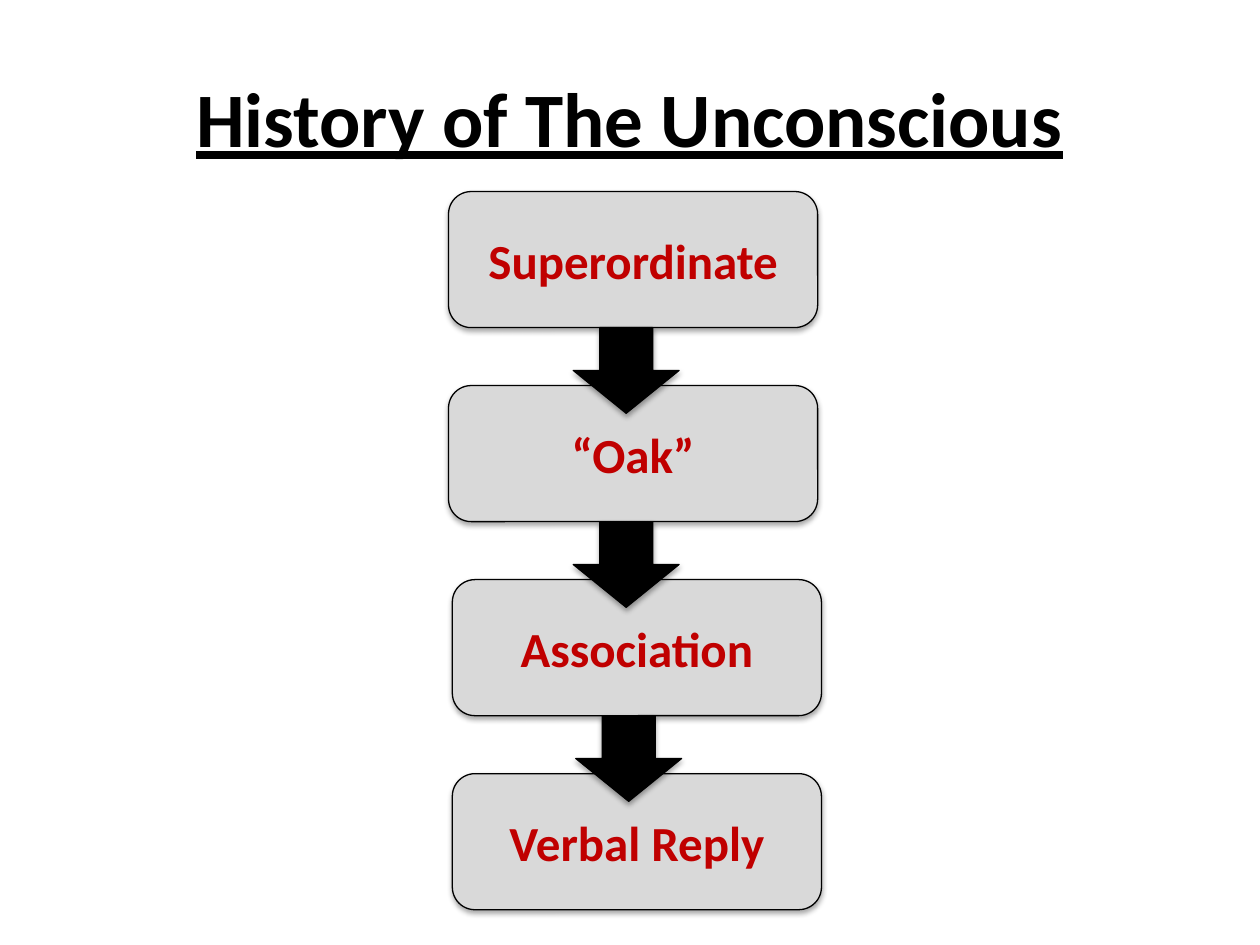
from dataclasses import dataclass

from lxml import etree
from pptx import Presentation
from pptx import util as u
from pptx.dml.color import RGBColor
from pptx.enum import shapes, text
from pptx.oxml import ns


@dataclass(frozen=True)
class Theme:
    font: str = "Calibri"
    ink: str = "000000"
    box: str = "D9D9D9"
    red: str = "C00000"
    head: int = 44
    body: int = 28
    line: float = 0.75


@dataclass(frozen=True)
class Step:
    label: str
    left: float


THEME = Theme()
STEPS = [
    Step("Superordinate", 3.56),
    Step("“Oak”", 3.56),
    Step("Association", 3.59),
    Step("Verbal Reply", 3.59),
]
ARROWS = [4.55, 4.55, 4.57]
TOP, PITCH = 1.52, 1.54
WIDE, HIGH = 2.93, 1.08


def write(frame, words: str, *, size: int, color: str, line: bool = False) -> None:
    frame.word_wrap = True
    frame.auto_size = text.MSO_AUTO_SIZE.NONE
    frame.vertical_anchor = text.MSO_ANCHOR.MIDDLE
    para = frame.paragraphs[0]
    para.alignment = text.PP_ALIGN.CENTER
    run = para.add_run()
    run.text = words
    font = run.font
    font.name, font.size = THEME.font, u.Pt(size)
    font.bold, font.underline = True, line
    font.color.rgb = RGBColor.from_string(color)


def shade(shape) -> None:
    shape.shadow.inherit = False
    effect = shape._element.spPr.find(ns.qn("a:effectLst"))
    outer = etree.SubElement(
        effect, ns.qn("a:outerShdw"), blurRad=str(u.Pt(3.1)),
        dist=str(u.Pt(1.8)), dir="5400000", rotWithShape="0")
    color = etree.SubElement(outer, ns.qn("a:srgbClr"), val=THEME.ink)
    etree.SubElement(color, ns.qn("a:alpha"), val="35000")


def draw(slide, kind, left: float, top: float, width: float, height: float, fill: str):
    shape = slide.shapes.add_shape(
        kind, u.Inches(left), u.Inches(top), u.Inches(width), u.Inches(height))
    shape.fill.solid()
    shape.fill.fore_color.rgb = RGBColor.from_string(fill)
    shape.line.color.rgb = RGBColor.from_string(THEME.ink)
    shape.line.width = u.Pt(THEME.line)
    shade(shape)
    return shape


def main() -> None:
    deck = Presentation()
    deck.slide_width, deck.slide_height = u.Inches(10), u.Inches(7.5)
    slide = deck.slides.add_slide(deck.slide_layouts[5])

    title = slide.shapes.title
    title.left, title.top = u.Inches(0.5), u.Inches(0.3)
    title.width, title.height = u.Inches(9), u.Inches(1.25)
    write(title.text_frame, "History of The Unconscious",
          size=THEME.head, color=THEME.ink, line=True)

    for row, step in enumerate(STEPS):
        box = draw(slide, shapes.MSO_SHAPE.ROUNDED_RECTANGLE,
                   step.left, TOP + row * PITCH, WIDE, HIGH, THEME.box)
        frame = box.text_frame
        frame.margin_left = frame.margin_right = 0
        write(frame, step.label, size=THEME.body, color=THEME.red)

    for row, left in enumerate(ARROWS):
        draw(slide, shapes.MSO_SHAPE.DOWN_ARROW,
             left, TOP + HIGH + row * PITCH, 0.84, 0.68, THEME.ink)

    deck.save("out.pptx")


main()
